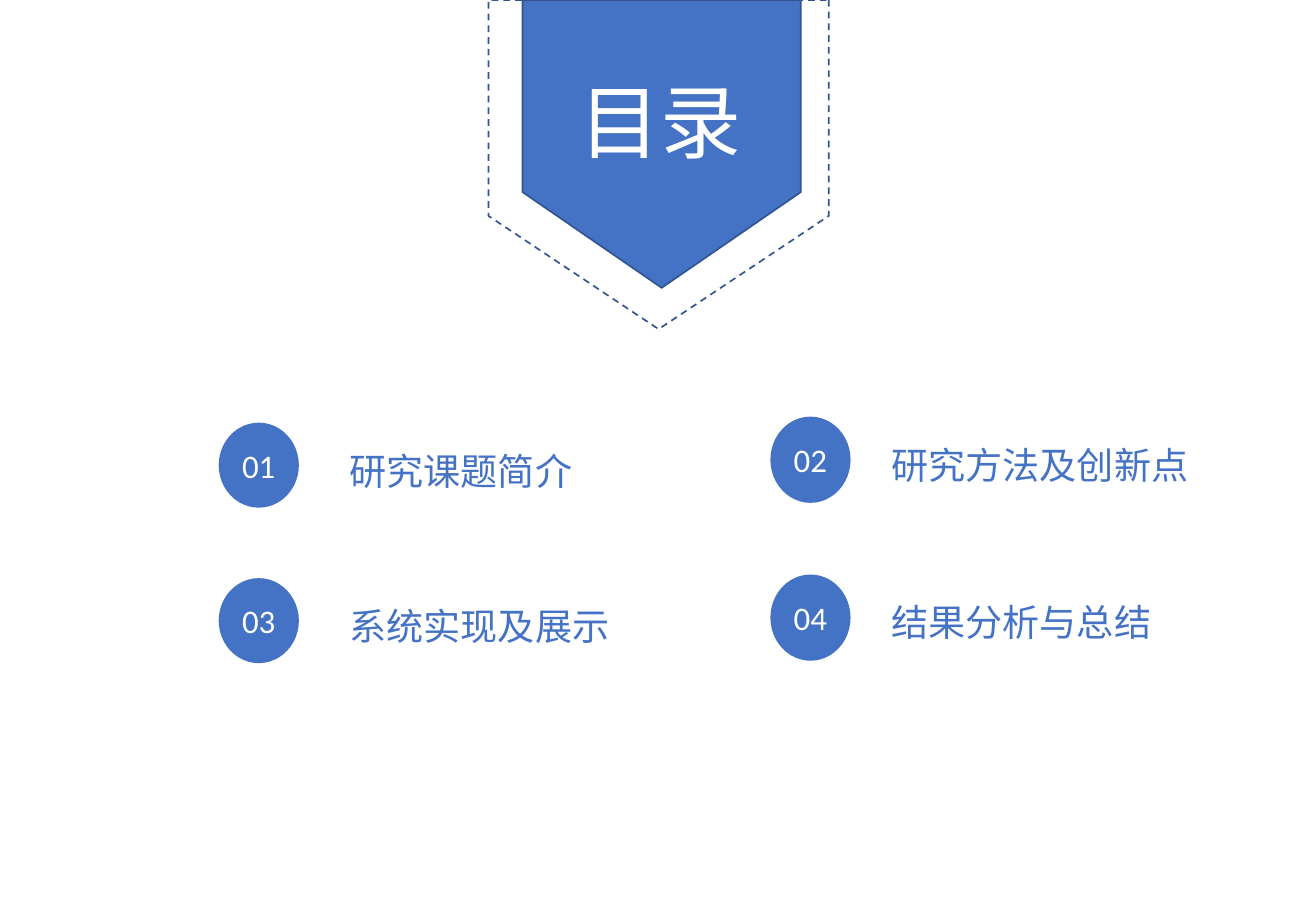
import pptx
import pptx.util
import pptx.dml.color
import pptx.enum.dml
import pptx.enum.shapes
import pptx.enum.text
import pptx.oxml
import pptx.oxml.ns
from dataclasses import dataclass

PX = 9144  # EMU per px, 100 px to the inch
SHAPE = pptx.enum.shapes.MSO_SHAPE
ALIGN = pptx.enum.text.PP_ALIGN


@dataclass(frozen=True)
class Theme:
    blue: str = "4472C4"
    outline: str = "325491"
    white: str = "FFFFFF"
    latin: str = "Calibri"
    cjk: str = "Noto Sans CJK SC"
    title: float = 48
    entry: float = 22
    number: float = 19.5


THEME = Theme()


def emu(*lengths):
    return [pptx.util.Emu(round(n * PX)) for n in lengths]


def rgb(value):
    return pptx.dml.color.RGBColor.from_string(value)


def add_text(sp, text, size, color, font, align=ALIGN.LEFT, spacing=None, wrap=False):
    tf = sp.text_frame
    tf.word_wrap = wrap
    p = tf.paragraphs[0]
    p.alignment = align
    if spacing:
        p.line_spacing = spacing
    r = p.add_run()
    r.text = text
    r.font.size = pptx.util.Pt(size)
    r.font.name = font
    r.font.color.rgb = rgb(color)
    # East Asian typeface
    ea = pptx.oxml.parse_xml(
        f'<a:ea {pptx.oxml.ns.nsdecls("a")} typeface="{THEME.cjk}"/>')
    r.font._element.find(pptx.oxml.ns.qn("a:latin")).addnext(ea)
    return tf


def add_label(slide, box, text, size, color, font, **layout):
    sp = slide.shapes.add_textbox(*emu(*box))
    tf = add_text(sp, text, size, color, font, **layout)
    tf.auto_size = pptx.enum.text.MSO_AUTO_SIZE.SHAPE_TO_FIT_TEXT


def add_pennant(slide, box, fill=None, dash=None):
    """Pentagon turned to point down, filling the box as seen."""
    x, y, w, h = box
    left, top = x + (w - h) / 2, y + (h - w) / 2
    sp = slide.shapes.add_shape(SHAPE.PENTAGON, *emu(left, top, h, w))
    sp.rotation = 90
    sp.adjustments[0] = 0.344
    sp.shadow.inherit = False
    if fill:
        sp.fill.solid()
        sp.fill.fore_color.rgb = rgb(fill)
    else:
        sp.fill.background()
    sp.line.color.rgb = rgb(THEME.outline)
    sp.line.width = pptx.util.Pt(1)
    if dash:
        sp.line.dash_style = dash


def add_banner(slide, box):
    x, y, w, h = box
    # Filled pennant inside a dashed one
    add_pennant(slide, (x + 28, y, w - 51, h - 34), fill=THEME.blue)
    add_pennant(slide, box, dash=pptx.enum.dml.MSO_LINE.DASH)
    # Title
    add_label(slide, (x + 65, y + 54, 155, 91), "目录",
              THEME.title, THEME.white, THEME.latin)


def add_column(slide, box, entries, pitch, indent):
    """Numbered entries, one below the other."""
    x, y, w, h = box
    for row, (number, text, width) in enumerate(entries):
        top = y + row * pitch
        # Number in a disc
        sp = slide.shapes.add_shape(SHAPE.OVAL, *emu(x, top, w, h))
        sp.shadow.inherit = False
        sp.fill.solid()
        sp.fill.fore_color.rgb = rgb(THEME.blue)
        sp.line.fill.background()
        tf = add_text(sp, number, THEME.number, THEME.white, THEME.latin,
                      align=ALIGN.CENTER)
        tf.vertical_anchor = pptx.enum.text.MSO_ANCHOR.MIDDLE
        # Entry text
        add_label(slide, (x + indent, top + 5, width, 54), text,
                  THEME.entry, THEME.blue, THEME.cjk, spacing=1.3, wrap=True)


def main():
    prs = pptx.Presentation()
    prs.slide_width, prs.slide_height = emu(1083, 750)
    slide = prs.slides.add_slide(prs.slide_layouts[6])
    add_column(slide, (634, 343, 66, 71),
               [("02", "研究方法及创新点", 267), ("04", "结果分析与总结", 236)],
               pitch=130, indent=90)
    add_column(slide, (180, 348, 66, 70),
               [("01", "研究课题简介", 264), ("03", "系统实现及展示", 236)],
               pitch=128, indent=98)
    add_banner(slide, (402, 0, 280, 271))
    prs.save("out.pptx")


if __name__ == "__main__":
    main()
